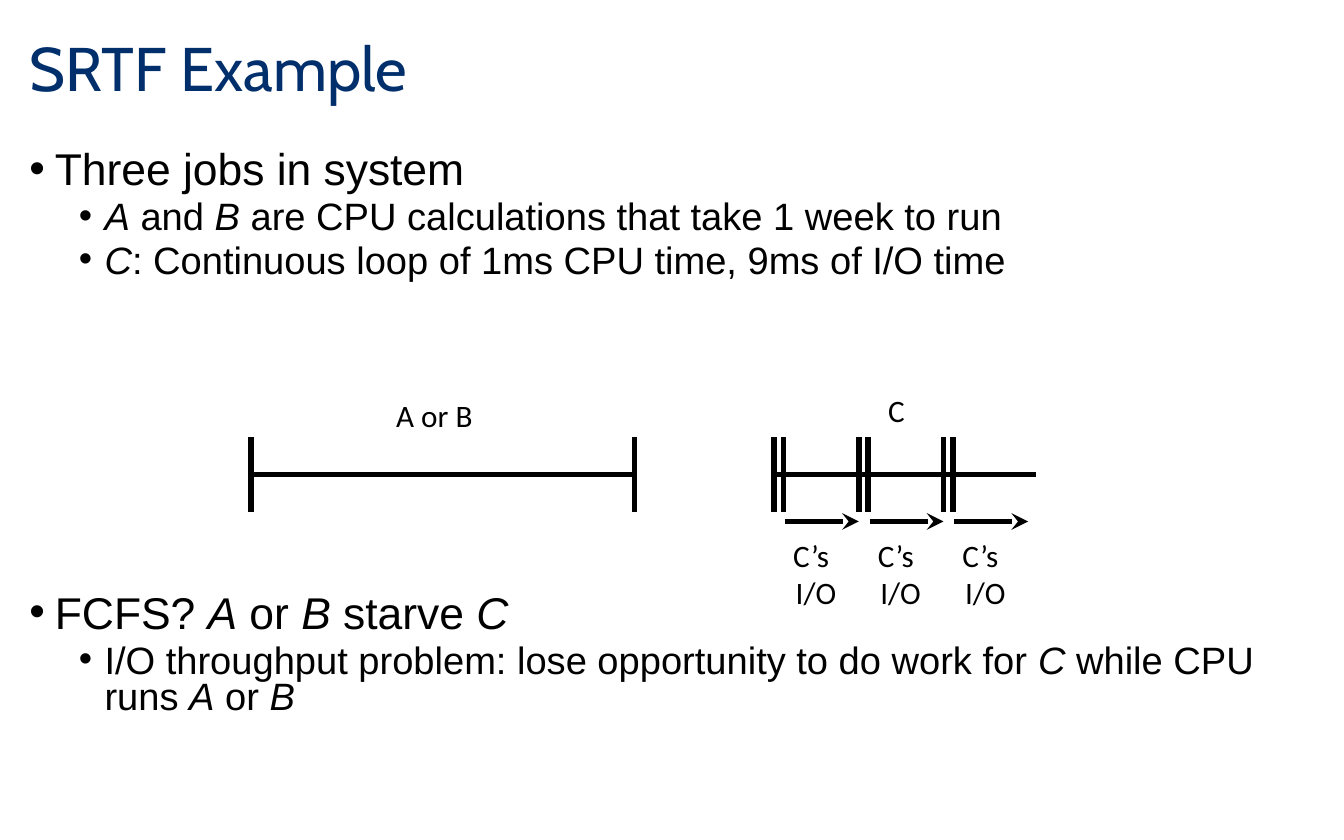
from lxml.etree import SubElement
from pptx import Presentation
from pptx.dml.color import RGBColor
from pptx.enum.shapes import MSO_CONNECTOR as CONN
from pptx.enum.text import MSO_ANCHOR as ANCHOR, MSO_AUTO_SIZE as AUTO, PP_ALIGN as ALIGN
from pptx.oxml.ns import qn
from pptx.util import Inches, Pt

NAVY = RGBColor(0x00, 0x2F, 0x6C)
BLACK = RGBColor(0x00, 0x00, 0x00)

LEVELS = [dict(size=23.8, indent=0.19, before=7.5), dict(size=20.4, indent=0.56, before=3.8)]
BULLETS = [
    (0, "Three jobs in system", {}),
    (1, "*A* and *B* are CPU calculations that take 1 week to run", {}),
    (1, "*C*: Continuous loop of 1ms CPU time, 9ms of I/O time", {}),
    (0, "FCFS? *A* or *B* starve *C*", dict(before=168)),
    (1, "I/O throughput problem: lose opportunity to do work for *C* while CPU runs *A* or *B*", {}),
]


def write(p, text, size=16.7, font="Calibri", color=BLACK, align=ALIGN.LEFT, spacing=None, before=0):
    """Fill a paragraph with formatted text, where *stars* mark italics."""
    p.alignment = align
    p.line_spacing = spacing
    p.space_before = Pt(before)
    for i, part in enumerate(text.split("*")):
        if part:
            r = p.add_run()
            r.text = part
            r.font.size, r.font.name = Pt(size), font
            r.font.color.rgb = color
            r.font.italic = i % 2 == 1


def add_title(s, text, x, y, w, h):
    """Place and format the title placeholder."""
    sp = s.shapes.title
    sp.left, sp.top, sp.width, sp.height = (Inches(v) for v in (x, y, w, h))
    tf = sp.text_frame
    tf.auto_size = AUTO.NONE
    tf.vertical_anchor = ANCHOR.MIDDLE
    write(tf.paragraphs[0], text, size=33, font="Cabin", color=NAVY, spacing=0.9)


def add_bullets(s, items, x, y, w, h):
    """Write a two-level bulleted list."""
    tf = s.shapes.add_textbox(*(Inches(v) for v in (x, y, w, h))).text_frame
    tf.word_wrap = True
    for i, (level, text, extra) in enumerate(items):
        p = tf.add_paragraph() if i else tf.paragraphs[0]
        p.level = level
        fmt = {**LEVELS[level], **extra}
        indent = fmt.pop("indent")
        if i == 0:
            fmt["before"] = 0
        pPr = p._p.get_or_add_pPr()
        pPr.set("marL", str(Inches(indent)))
        pPr.set("indent", str(Inches(-0.19)))
        SubElement(pPr, qn("a:buFont"), typeface="Arial")
        SubElement(pPr, qn("a:buChar"), char="•")
        write(p, text, font="Arial", spacing=0.8, **fmt)


def add_label(s, lines, x, y, w, h, align=ALIGN.LEFT):
    """Add an unwrapped label, one paragraph per line."""
    tf = s.shapes.add_textbox(*(Inches(v) for v in (x, y, w, h))).text_frame
    tf.word_wrap = False
    for i, line in enumerate(lines):
        write(tf.add_paragraph() if i else tf.paragraphs[0], line, align=align)


def add_line(s, x1, y1, x2, y2, arrow=False):
    """Draw a thick black line, optionally with an arrowhead."""
    c = s.shapes.add_connector(CONN.STRAIGHT, *(Inches(v) for v in (x1, y1, x2, y2)))
    c.line.color.rgb = BLACK
    c.line.width = Pt(3)
    if arrow:
        SubElement(c.line._get_or_add_ln(), qn("a:tailEnd"), type="stealth")
    SubElement(c._element.spPr, qn("a:effectLst"))


def add_timeline(s, x, y, w, h, ticks):
    """Draw a horizontal time axis with full-height ticks at given offsets."""
    add_line(s, x, y + h / 2, x + w, y + h / 2)
    for dx in ticks:
        add_line(s, x + dx, y, x + dx, y + h)


def add_long_job(s, x, y, w, h):
    """Draw the uninterrupted run of A or B."""
    add_timeline(s, x, y, w, h, [0, w])
    add_label(s, ["A or B"], x + 0.98, y - 0.35, 0.84, 0.38)


def add_loop_job(s, x, y, w, h, cycles=3, period=0.63, burst=0.07):
    """Draw job C as short CPU bursts, each followed by I/O."""
    starts = [i * period for i in range(cycles)]
    add_timeline(s, x, y, w, h, [t + d for t in starts for d in (0, burst)])
    add_label(s, ["C"], x + 0.7, y - 0.39, 0.37, 0.38, ALIGN.RIGHT)
    for t in starts:
        add_line(s, x + t + 0.08, y + h + 0.07, x + t + period, y + h + 0.07, arrow=True)
        add_label(s, ["C’s ", "I/O"], x + t + 0.01, y + h + 0.13, 0.55, 0.66, ALIGN.RIGHT)


def main():
    """Build and save the slide."""
    prs = Presentation()
    prs.slide_width, prs.slide_height = Inches(10), Inches(6.25)
    s = prs.slides.add_slide(prs.slide_layouts[5])
    add_title(s, "SRTF Example", 0.12, 0.1, 8.52, 0.86)
    add_bullets(s, BULLETS, 0.12, 1.08, 9.77, 4.55)
    add_loop_job(s, 5.76, 3.25, 1.95, 0.56)
    add_long_job(s, 1.87, 3.25, 2.85, 0.56)
    prs.save("out.pptx")


if __name__ == "__main__":
    main()
